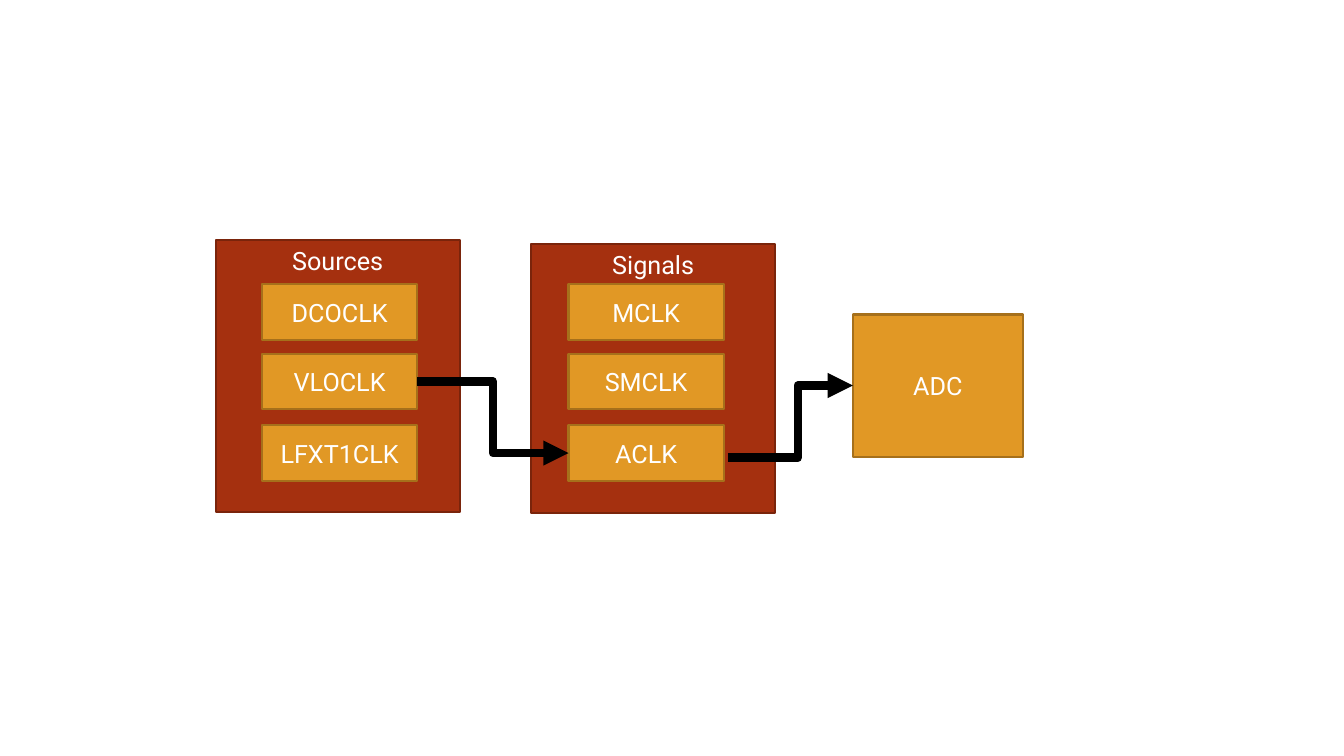
from pptx import Presentation
from pptx import util as u
from pptx.dml import color
from pptx.enum import shapes, text
from pptx.oxml import ns
from lxml import etree

RED, DARK_RED = "A5300F", "7A240B"
AMBER, DARK_AMBER = "E19825", "A6701B"
RIGHT, LEFT = 3, 1


def paint(color_format, value):
    color_format.rgb = color.RGBColor.from_string(value)


def write(frame, content, font="Roboto", size=18, fill="FFFFFF",
          anchor=text.MSO_ANCHOR.MIDDLE):
    frame.word_wrap = True
    frame.vertical_anchor = anchor
    paragraph = frame.paragraphs[0]
    paragraph.alignment = text.PP_ALIGN.CENTER
    run = paragraph.add_run()
    run.text = content
    run.font.name = font
    run.font.size = u.Pt(size)
    paint(run.font.color, fill)


class Diagram:
    columns, rows = 40, 30

    def __init__(self, presentation):
        self.column = presentation.slide_width / self.columns
        self.row = presentation.slide_height / self.rows
        self.slide = presentation.slides.add_slide(presentation.slide_layouts[6])

    def point(self, column, row):
        return round(column * self.column), round(row * self.row)

    def box(self, label, column, row, width, height,
            fill=AMBER, line=DARK_AMBER, **text_format):
        shape = self.slide.shapes.add_shape(
            shapes.MSO_SHAPE.RECTANGLE,
            *self.point(column, row), *self.point(width, height))
        shape.shadow.inherit = False
        shape.fill.solid()
        paint(shape.fill.fore_color, fill)
        paint(shape.line.color, line)
        shape.line.width = u.Pt(1.5)
        write(shape.text_frame, label, **text_format)
        return shape

    def panel(self, label, column, row, height):
        return self.box(label, column, row, 7.26, height, fill=RED, line=DARK_RED,
                        anchor=text.MSO_ANCHOR.TOP)

    def clocks(self, labels, column):
        return {label: self.box(label, column, row, 4.62, 2.2)
                for label, row in zip(labels, (11.28, 14.04, 16.88))}

    def arrow(self, start, target, bend=0.5, source=None):
        end = target.left, target.top + target.height // 2
        connector = self.slide.shapes.add_connector(
            shapes.MSO_CONNECTOR.ELBOW, *self.point(*start), *end)
        if source is not None:
            connector.begin_connect(source, RIGHT)
        connector.end_connect(target, LEFT)
        paint(connector.line.color, "000000")
        connector.line.width = u.Pt(6)
        properties = connector._element.spPr
        guides = properties.find(ns.qn("a:prstGeom")).get_or_add_avLst()
        etree.SubElement(guides, ns.qn("a:gd"), name="adj1",
                         fmla=f"val {round(bend * 100000)}")
        etree.SubElement(connector.line._get_or_add_ln(), ns.qn("a:tailEnd"),
                         type="triangle")
        etree.SubElement(properties, ns.qn("a:effectLst"))


def main():
    presentation = Presentation()
    presentation.slide_width = u.Inches(13.33)
    presentation.slide_height = u.Inches(7.5)
    diagram = Diagram(presentation)

    diagram.panel("Sources", 6.42, 9.52, 10.8)
    sources = diagram.clocks(("DCOCLK", "VLOCLK", "LFXT1CLK"), 7.8)
    diagram.panel("Signals", 15.81, 9.68, 10.68)
    signals = diagram.clocks(("MCLK", "SMCLK", "ACLK"), 16.92)
    converter = diagram.box("ADC", 25.38, 12.48, 5.07, 5.64)

    diagram.arrow((12.42, 15.14), signals["ACLK"], source=sources["VLOCLK"])
    diagram.arrow((21.66, 18.16), converter, bend=0.56)
    presentation.save("out.pptx")


if __name__ == "__main__":
    main()
